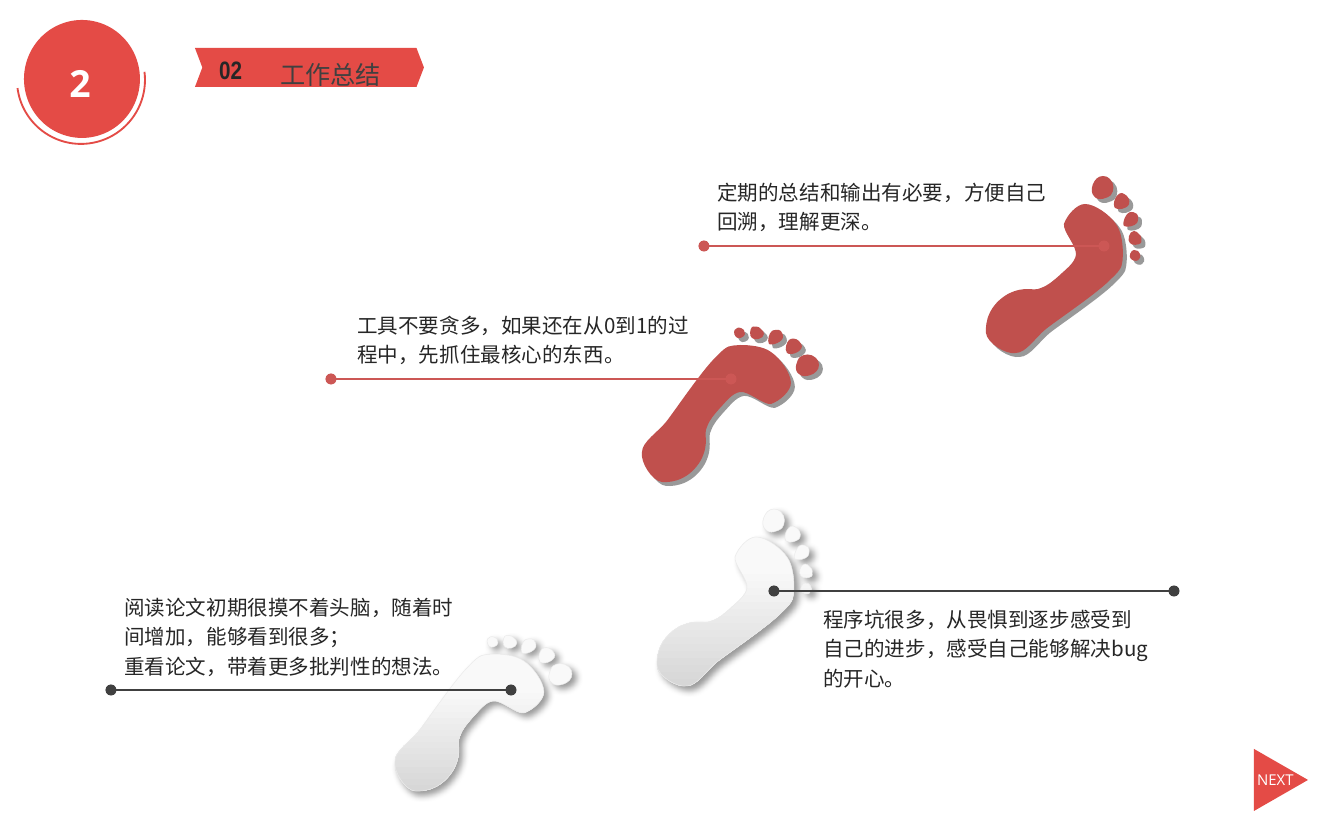
from lxml import etree
from pptx import Presentation
from pptx import util as u
from pptx.dml.color import RGBColor
from pptx.enum import shapes, text
from pptx.oxml import ns

PX = 9144000 / 1344  # EMU per px
COLORS = {"red": "E44B46", "sole": "C0504D", "rose": "CC5755", "dark": "404040",
          "ink": "262626", "white": "FFFFFF", "edge": "EAEAEA",
          "light": "F9F9F9", "grey": "D7D7D7"}
RGB = {name: RGBColor.from_string(value) for name, value in COLORS.items()}
CJK = "Noto Sans CJK SC"


def px(*values):
    return [round(v * PX) for v in values]


def write(shape, paragraphs, size, color, font=CJK, bold=False, spacing=1.0,
          align=text.PP_ALIGN.LEFT):
    frame = shape.text_frame
    settings = {"word_wrap": True, "auto_size": text.MSO_AUTO_SIZE.NONE,
                "vertical_anchor": text.MSO_ANCHOR.TOP}
    for name, value in settings.items():
        setattr(frame, name, value)
    frame.text = "\n".join(paragraphs)
    for paragraph in frame.paragraphs:
        paragraph.alignment, paragraph.line_spacing = align, spacing
        run = paragraph.runs[0]
        for name, value in {"size": u.Pt(size), "bold": bold, "name": font}.items():
            setattr(run.font, name, value)
        run.font.color.rgb = RGB[color]
        latin = run.font._element.find(ns.qn("a:latin"))
        latin.addnext(etree.Element(ns.qn("a:ea"), typeface=CJK))


prs = Presentation()
prs.slide_width, prs.slide_height = px(1344, 840)
slide = prs.slides.add_slide(prs.slide_layouts[5])
parts = slide.shapes

# Foot outline: each part is a start point followed by Bezier triples
FOOT = [
    [(148, 74), (149, 74), (151, 75), (152, 75), (155, 78), (155, 82), (153, 83),
     (153, 85), (148, 86), (145, 83), (142, 81), (145, 74), (148, 74)],
    [(148, 55), (149, 55), (152, 56), (153, 58), (156, 60), (156, 65), (155, 67),
     (153, 69), (146, 70), (144, 67), (141, 65), (143, 55), (148, 55)],
    [(145, 36), (146, 36), (149, 36), (151, 38), (153, 40), (152, 46), (151, 47),
     (149, 50), (141, 52), (138, 50), (136, 47), (140, 36), (145, 36)],
    [(99, 28), (109, 28), (124, 39), (130, 48), (136, 56), (137, 70), (137, 79), (136, 89),
     (138, 91), (125, 103), (113, 116), (70, 145), (60, 153), (50, 161), (40, 177), (30, 177),
     (20, 179), (1, 167), (0, 157), (-1, 146), (3, 129), (22, 118), (40, 109), (47, 116),
     (55, 112), (63, 109), (67, 105), (74, 99), (79, 94), (89, 87), (90, 79), (91, 70),
     (77, 56), (78, 48), (81, 39), (91, 28), (99, 28)],
    [(136, 17), (137, 17), (140, 19), (141, 20), (144, 23), (144, 28), (142, 30),
     (140, 32), (133, 35), (129, 32), (126, 28), (130, 17), (136, 17)],
    [(117, 0), (120, 0), (122, 1), (124, 3), (129, 8), (128, 15), (125, 19),
     (122, 22), (112, 26), (108, 20), (103, 16), (107, 0), (117, 0)],
]

# Steps: foot corner, mirrored foot, red foot, text box, line start, text
STEPS = [
    ((657, 509), False, False, (810, 595, 355, 101), (774, 591),
     ["程序坑很多，从畏惧到逐步感受到自己的进步，感受自己能够解决bug的开心。"]),
    ((986, 176), False, True, (704, 168, 360, 71), (704, 246),
     ["定期的总结和输出有必要，方便自己回溯，理解更深。"]),
    ((395, 636), True, False, (111, 583, 367, 101), (111, 690),
     ["阅读论文初期很摸不着头脑，随着时间增加，能够看到很多；",
      "重看论文，带着更多批判性的想法。"]),
    ((642, 327), True, True, (344, 301, 372, 71), (331, 379),
     ["工具不要贪多，如果还在从0到1的过程中，先抓住最核心的东西。"]),
]
LINE_LENGTH = 400

for (left, top), mirrored, is_red, box, (x, y), notes in STEPS:
    # Footprint: corner points first, then each segment becomes a curve
    outlines = [[px(left + (177 - b if mirrored else a), top + (155 - a if mirrored else b))
                 for a, b in outline] for outline in FOOT]
    builder = parts.build_freeform(*outlines[0][0])
    for i, outline in enumerate(outlines):
        if i:
            builder.move_to(*outline[0])
        builder.add_line_segments(outline[3::3], close=True)
    foot = builder.convert_to_shape()
    curves = [outline[i:i + 3] for outline in outlines for i in range(1, len(outline), 3)]
    segments = list(foot._element.iter(ns.qn("a:lnTo")))
    for segment, curve in zip(segments, curves):
        bezier = etree.Element(ns.qn("a:cubicBezTo"))
        for a, b in curve:
            etree.SubElement(bezier, ns.qn("a:pt"), x=str(a - foot.left), y=str(b - foot.top))
        segment.getparent().replace(segment, bezier)

    if is_red:
        foot.fill.solid()
        foot.fill.fore_color.rgb = RGB["sole"]
        foot.line.fill.background()
    else:
        foot.fill.gradient()
        foot.fill.gradient_angle = 270
        for stop, position, color in zip(foot.fill.gradient_stops, (0.33, 1), ("light", "grey")):
            stop.position, stop.color.rgb = position, RGB[color]
        foot.line.color.rgb = RGB["edge"]
        foot.line.width = u.Pt(0.25)
    foot.shadow.inherit = False
    effects = foot._element.spPr.find(ns.qn("a:effectLst"))
    shadow = etree.SubElement(effects, ns.qn("a:outerShdw"), dist=str(u.Pt(3)), dir="2700000",
                              blurRad=str(u.Pt(0 if is_red else 4)), algn="tl", rotWithShape="0")
    black = etree.SubElement(shadow, ns.qn("a:srgbClr"), val="000000")
    etree.SubElement(black, ns.qn("a:alpha"), val="40000")

    # Note and its line
    write(parts.add_textbox(*px(*box)), notes, 11, "ink", spacing=1.2)
    leader = parts.add_connector(shapes.MSO_CONNECTOR.STRAIGHT, *px(x, y, x + LINE_LENGTH, y))
    leader.line.color.rgb = RGB["rose" if is_red else "dark"]
    leader.line.width = u.Pt(0.75)
    for end in ("a:headEnd", "a:tailEnd"):
        etree.SubElement(leader.line._get_or_add_ln(), ns.qn(end), type="oval")
    etree.SubElement(leader._element.spPr, ns.qn("a:effectLst"))

# Next button
triangle = parts.build_freeform(*px(1254, 749))
triangle.add_line_segments([px(1308, 780), px(1254, 811)])
next_button = triangle.convert_to_shape()
write(next_button, ["NEXT"], 8, "white", font="Open Sans")
label = {"word_wrap": False, "vertical_anchor": text.MSO_ANCHOR.MIDDLE,
         "margin_left": px(3)[0], "margin_right": 0, "margin_top": 0, "margin_bottom": 0}
for name, value in label.items():
    setattr(next_button.text_frame, name, value)

# Heading ribbon and number badge
ribbon = parts.add_shape(shapes.MSO_SHAPE.CHEVRON, *px(195, 48, 229, 39))
ribbon.adjustments[0] = 0.19
badge = parts.add_shape(shapes.MSO_SHAPE.OVAL, *px(24, 20, 116, 118))
for red_part in (next_button, ribbon, badge):
    red_part.fill.solid()
    red_part.fill.fore_color.rgb = RGB["red"]
    red_part.line.fill.background()
    red_part.shadow.inherit = False

ring = parts.add_shape(shapes.MSO_SHAPE.ARC, *px(17, 16, 128, 128))
for i, degrees in enumerate((352.7, 172.7)):
    ring.adjustments[i] = degrees * 0.6  # 60000 units a degree, over 100000
ring.fill.background()
ring.line.color.rgb = RGB["red"]
ring.line.width = u.Pt(1)
ring.shadow.inherit = False

write(parts.add_textbox(*px(206, 48, 56, 44)), ["02"], 13.5, "ink",
      font="Arial Narrow", bold=True)
write(parts.add_textbox(*px(8, 31, 144, 73)), ["2"], 20, "white", font="Open Sans",
      bold=True, spacing=1.5, align=text.PP_ALIGN.CENTER)

# Title, brought in front of the ribbon
title = parts.title
title.left, title.top, title.width, title.height = px(228, 38, 206, 54)
write(title, ["工作总结"], 13.5, "dark", font="Open Sans", spacing=1.5,
      align=text.PP_ALIGN.CENTER)
title._element.getparent().append(title._element)

prs.save("out.pptx")
